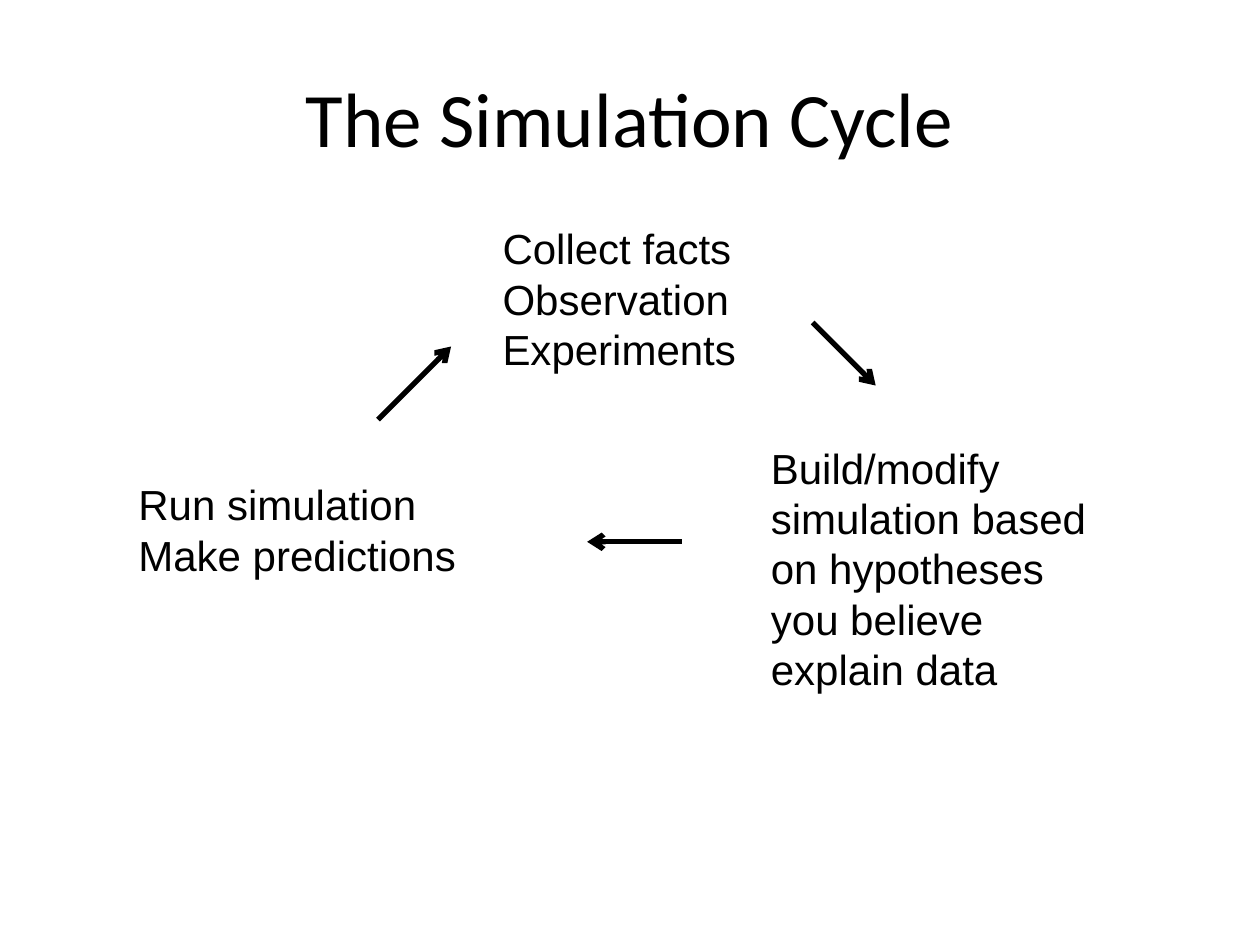
import pptx
import pptx.util
import pptx.dml.color
import pptx.enum.text
import pptx.enum.shapes
import pptx.oxml
import pptx.oxml.ns

Inches, Pt = pptx.util.Inches, pptx.util.Pt
BLACK = pptx.dml.color.RGBColor(0, 0, 0)
TITLE = "The Simulation Cycle"
STAGES = [
    (["Run simulation", "Make predictions"], (1, 3.75, 3.33, 0.91), True),
    (["Collect facts", "Observation", "Experiments"], (3.89, 1.72, 2.07, 1.31), False),
    (["Build/modify simulation based on hypotheses you believe explain data"],
     (6.02, 3.46, 2.9, 2.52), True),
]
ARROWS = [
    (6.45, 2.56, 6.95, 3.06),
    (5.41, 4.3, 4.66, 4.3),
    (3, 3.33, 3.58, 2.75),
]
TITLE_FONT = {"name": "Calibri", "size": Pt(44)}
STAGE_FONT = {"name": "Arial", "size": Pt(24)}


def write(tf, lines, font):
    for i, line in enumerate(lines):
        p = tf.paragraphs[0] if i == 0 else tf.add_paragraph()
        r = p.add_run()
        r.text = line
        r.font.color.rgb = BLACK
        for key, value in font.items():
            setattr(r.font, key, value)


prs = pptx.Presentation()
prs.slide_width, prs.slide_height = Inches(10), Inches(7.5)
s = prs.slides.add_slide(prs.slide_layouts[5])

title = s.shapes.title
title.left, title.top, title.width, title.height = map(Inches, (0.5, 0.3, 9, 1.25))
title.text_frame.vertical_anchor = pptx.enum.text.MSO_ANCHOR.MIDDLE
write(title.text_frame, [TITLE], TITLE_FONT)
title.text_frame.paragraphs[0].alignment = pptx.enum.text.PP_ALIGN.CENTER

for lines, box, wrap in STAGES:
    tf = s.shapes.add_textbox(*map(Inches, box)).text_frame
    tf.word_wrap = wrap
    tf.auto_size = pptx.enum.text.MSO_AUTO_SIZE.SHAPE_TO_FIT_TEXT
    write(tf, lines, STAGE_FONT)

for ends in ARROWS:
    sp = s.shapes.add_connector(pptx.enum.shapes.MSO_CONNECTOR.STRAIGHT, *map(Inches, ends))
    sp.line.color.rgb = BLACK
    sp.line.width = Pt(3)
    head = pptx.oxml.parse_xml(f'<a:tailEnd {pptx.oxml.ns.nsdecls("a")} type="arrow"/>')
    sp.line._get_or_add_ln().append(head)
    sp._element.spPr.append(pptx.oxml.parse_xml(f'<a:effectLst {pptx.oxml.ns.nsdecls("a")}/>'))

prs.save("out.pptx")
